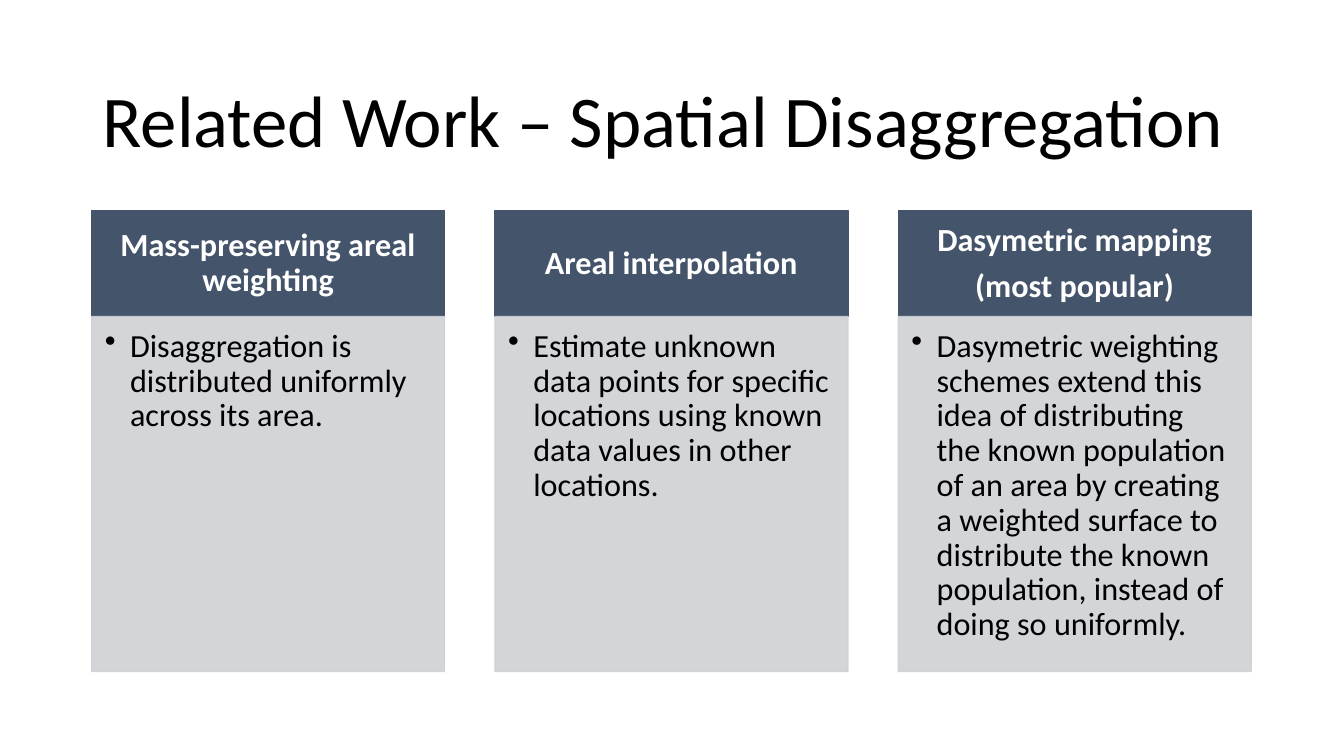
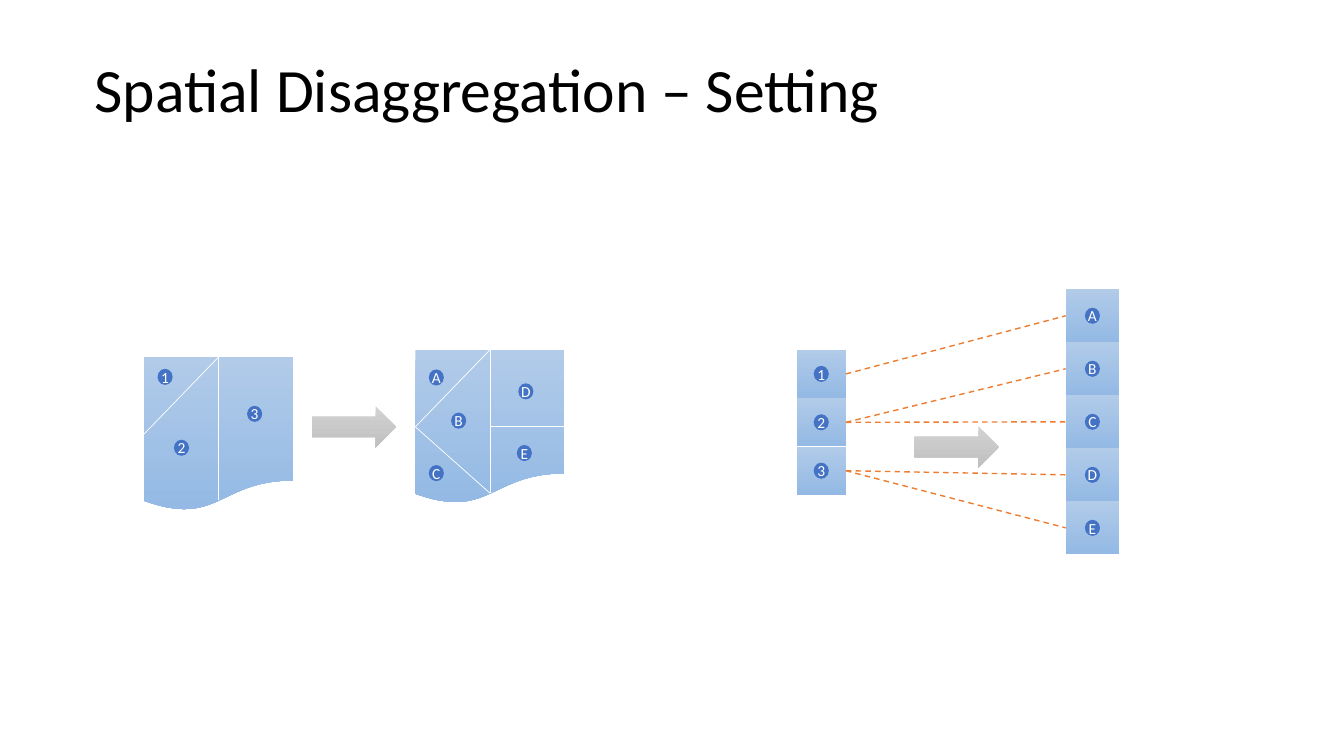
from lxml import etree
from pptx import Presentation, util as u
from pptx.dml.color import RGBColor
from pptx.enum import dml, shapes, text
from pptx.oxml.ns import qn

FONT = "Calibri"
BLACK, WHITE = "000000", "FFFFFF"
HEADER, PANEL = "44546A", "CFD1D4"
BADGE, LINK = "4472C4", "ED7D31"
MAP_GRADIENT = ("B1CBE9", "93B9E4")
ARROW_GRADIENT = ("D2D2D2", "C0C0C0")

# title: left, top, width, height, point size
WORK_TITLE = ("Related Work – Spatial Disaggregation", 0.92, 0.61, 11.5, 1.24, 52)
SETTING_TITLE = ("Spatial Disaggregation – Setting", 0.84, 0.19, 11.5, 1.45, 44)

METHODS = [
    (["Mass-preserving areal weighting"],
     "Disaggregation is distributed uniformly across its area."),
    (["Areal interpolation"],
     "Estimate unknown data points for specific locations using known data "
     "values in other locations."),
    (["Dasymetric mapping", "(most popular)"],
     "Dasymetric weighting schemes extend this idea of distributing the known "
     "population of an area by creating a weighted surface to distribute the "
     "known population, instead of doing so uniformly."),
]
METHOD_LEFT, METHOD_PITCH, METHOD_WIDTH = 0.91, 4, 3.5
HEADER_TOP, HEADER_HEIGHT, PANEL_HEIGHT = 2.09, 1.05, 3.52

# Borders and badge centres are shares of the map's width and height.
MAP_WIDTH, MAP_HEIGHT = 1.48, 1.53
WAVE = 0.93  # where the wavy bottom edge crosses the middle
SHARED_BORDERS = [((0, 0.5), (0.5, 0)), ((0.5, WAVE), (0.5, 0))]
MAPS = [
    {"at": (1.43, 3.54), "borders": SHARED_BORDERS,
     "regions": {"1": (0.14, 0.13), "2": (0.25, 0.59), "3": (0.74, 0.37)}},
    {"at": (4.12, 3.47),
     "borders": SHARED_BORDERS + [((0.5, 0.5), (1, 0.5)), ((0, 0.5), (0.5, WAVE))],
     "regions": {"A": (0.14, 0.18), "B": (0.29, 0.46), "C": (0.14, 0.8),
                 "D": (0.74, 0.27), "E": (0.73, 0.67)}},
]
# regions, left, top, width, total height
STACKS = [("123", 7.9, 3.47, 0.49, 1.44), ("ABCDE", 10.57, 2.87, 0.53, 2.63)]
LINKS = ["1A", "2B", "2C", "3D", "3E"]
ARROWS = [(3.09, 4.03), (9.07, 4.23)]
ARROW_SIZE = (0.84, 0.41)
BADGE_SIZE = (0.15, 0.16)


def rgb(color):
    return RGBColor.from_string(color)


def add_preset(slide, preset, left, top, width, height, fill):
    """Borderless shape; fill is one colour or a (top, bottom) gradient."""
    shape = slide.shapes.add_shape(preset, *map(u.Inches, (left, top, width, height)))
    shape.shadow.inherit = False
    shape.line.fill.background()
    if isinstance(fill, str):
        shape.fill.solid()
        shape.fill.fore_color.rgb = rgb(fill)
    else:
        shape.fill.gradient()
        shape.fill.gradient_angle = 270
        for stop, color in zip(shape.fill.gradient_stops, fill):
            stop.color.rgb = rgb(color)
    return shape


def add_line(slide, start, end, color, width, dash=None):
    points = [u.Inches(value) for value in (*start, *end)]
    line = slide.shapes.add_connector(shapes.MSO_CONNECTOR.STRAIGHT, *points)
    line.line.color.rgb = rgb(color)
    line.line.width = u.Pt(width)
    line.line.dash_style = dash
    etree.SubElement(line._element.spPr, qn("a:effectLst"))
    return line


def write(shape, lines, size, color, align, insets=(0.1, 0.05, 0.1, 0.05),
          anchor=text.MSO_ANCHOR.MIDDLE, bold=False, wrap=True, spacing=0.9):
    frame = shape.text_frame
    frame.word_wrap = wrap
    frame.vertical_anchor = anchor
    (frame.margin_left, frame.margin_top,
     frame.margin_right, frame.margin_bottom) = map(u.Inches, insets)
    for index, line in enumerate(lines):
        paragraph = frame.add_paragraph() if index else frame.paragraphs[0]
        paragraph.alignment = align
        paragraph.line_spacing = spacing
        if index:
            paragraph.space_before = u.Pt(8)
        run = paragraph.add_run()
        run.text = line
        run.font.name, run.font.size, run.font.bold = FONT, u.Pt(size), bold
        run.font.color.rgb = rgb(color)
    return frame


def add_bullet(paragraph, indent):
    properties = paragraph._p.get_or_add_pPr()
    properties.set("marL", str(u.Inches(indent)))
    properties.set("indent", str(-u.Inches(indent)))
    etree.SubElement(properties, qn("a:buChar"), char="•")


def set_outline(shape, color):
    shape.line.color.rgb = rgb(color)
    shape.line.width = u.Pt(1)


def set_opacity(shape, percent):
    """Apply to the fill and the outline."""
    for color in shape._element.spPr.iter(qn("a:srgbClr")):
        etree.SubElement(color, qn("a:alpha"), val=str(percent * 1000))


def add_titled_slide(deck, title, left, top, width, height, size):
    slide = deck.slides.add_slide(deck.slide_layouts[6])
    box = slide.shapes.add_textbox(*map(u.Inches, (left, top, width, height)))
    write(box, [title], size, BLACK, text.PP_ALIGN.LEFT)
    return slide


def add_badge(slide, label, x, y):
    """Small labelled disc centred on x, y."""
    width, height = BADGE_SIZE
    disc = add_preset(slide, shapes.MSO_SHAPE.OVAL, x - width / 2, y - height / 2,
                      width, height, BADGE)
    write(disc, [label], 11, WHITE, text.PP_ALIGN.CENTER, insets=(0, 0, 0, 0),
          wrap=False, spacing=1.0)


def add_method(slide, column, heading, description):
    left = METHOD_LEFT + column * METHOD_PITCH
    header = add_preset(slide, shapes.MSO_SHAPE.RECTANGLE, left, HEADER_TOP,
                        METHOD_WIDTH, HEADER_HEIGHT, HEADER)
    set_outline(header, HEADER)
    write(header, heading, 23, WHITE, text.PP_ALIGN.CENTER,
          insets=(0.18, 0.1, 0.18, 0.1), bold=True)

    panel = add_preset(slide, shapes.MSO_SHAPE.RECTANGLE, left,
                       HEADER_TOP + HEADER_HEIGHT, METHOD_WIDTH, PANEL_HEIGHT, PANEL)
    set_outline(panel, PANEL)
    set_opacity(panel, 90)
    body = write(panel, [description], 23, BLACK, text.PP_ALIGN.LEFT,
                 insets=(0.13, 0.13, 0.18, 0.2), anchor=text.MSO_ANCHOR.TOP)
    add_bullet(body.paragraphs[0], 0.25)


def add_map(slide, at, borders, regions):
    def place(share):
        return at[0] + share[0] * MAP_WIDTH, at[1] + share[1] * MAP_HEIGHT

    add_preset(slide, shapes.MSO_SHAPE.FLOWCHART_DOCUMENT, *at,
               MAP_WIDTH, MAP_HEIGHT, MAP_GRADIENT)
    for start, end in borders:
        add_line(slide, place(start), place(end), WHITE, 0.5)
    for label, centre in regions.items():
        add_badge(slide, label, *place(centre))


def add_stack(slide, labels, left, top, width, total_height):
    """Column of equal cells, returned by label."""
    height = total_height / len(labels)
    cells = {}
    for row, label in enumerate(labels):
        y = top + row * height
        cells[label] = add_preset(slide, shapes.MSO_SHAPE.RECTANGLE, left, y,
                                  width, height, MAP_GRADIENT)
        add_badge(slide, label, left + width / 2, y + height / 2)
    return cells


def main():
    deck = Presentation()
    deck.slide_width, deck.slide_height = u.Inches(13.33), u.Inches(7.5)

    work = add_titled_slide(deck, *WORK_TITLE)
    for column, (heading, description) in enumerate(METHODS):
        add_method(work, column, heading, description)

    setting = add_titled_slide(deck, *SETTING_TITLE)
    for region_map in MAPS:
        add_map(setting, **region_map)
    cells = {}
    for stack in STACKS:
        cells.update(add_stack(setting, *stack))
    for at in ARROWS:
        add_preset(setting, shapes.MSO_SHAPE.RIGHT_ARROW, *at, *ARROW_SIZE, ARROW_GRADIENT)
    for source, target in LINKS:
        link = add_line(setting, (0, 0), (1, 1), LINK, 1, dml.MSO_LINE.DASH)
        link.begin_connect(cells[source], 3)
        link.end_connect(cells[target], 1)

    deck.save("out.pptx")


if __name__ == "__main__":
    main()
